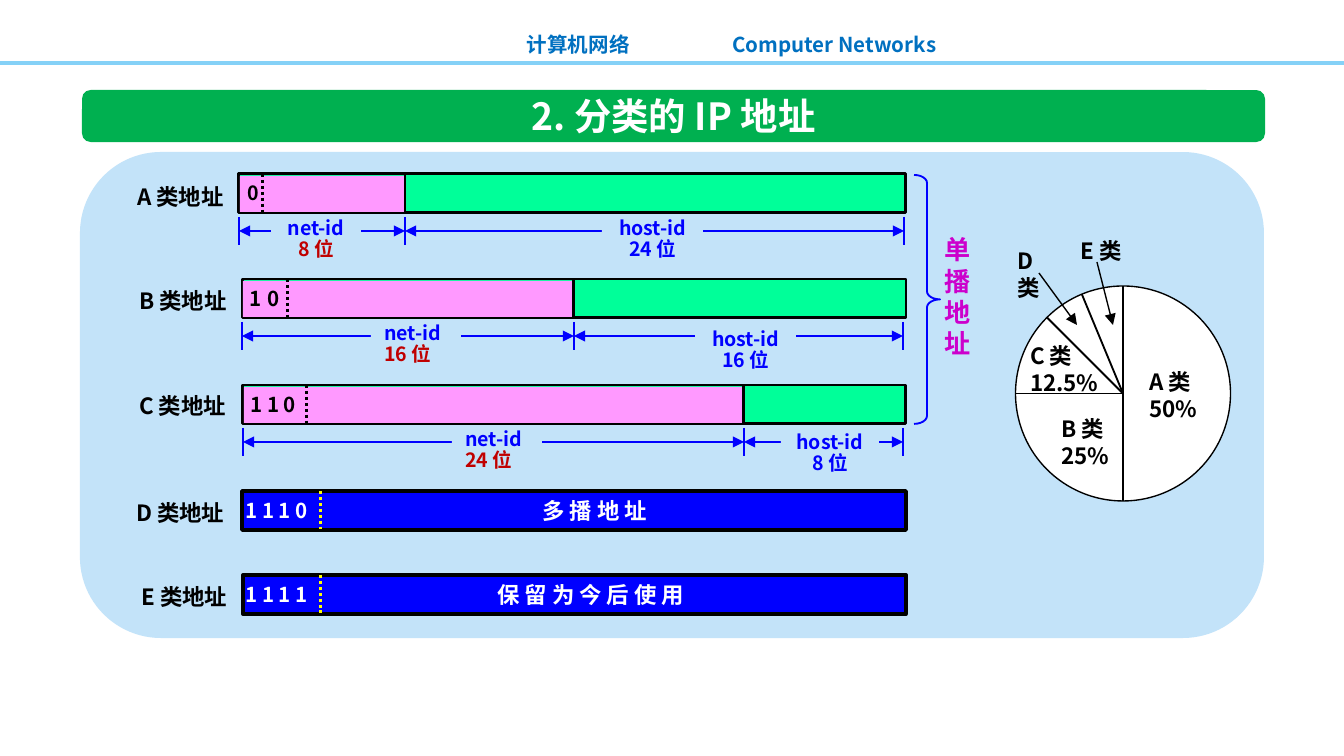
from math import cos, radians, sin

from lxml import etree
from pptx import Presentation
from pptx.dml.color import RGBColor
from pptx.enum.dml import MSO_LINE
from pptx.enum.shapes import MSO_CONNECTOR, MSO_SHAPE
from pptx.enum.text import MSO_ANCHOR, MSO_AUTO_SIZE, PP_ALIGN
from pptx.oxml.ns import qn
from pptx.util import Pt

LEFT, CENTER, RIGHT = PP_ALIGN.LEFT, PP_ALIGN.CENTER, PP_ALIGN.RIGHT
RECT, ROUND = MSO_SHAPE.RECTANGLE, MSO_SHAPE.ROUNDED_RECTANGLE
OVAL, BRACE = MSO_SHAPE.OVAL, MSO_SHAPE.RIGHT_BRACE
STRAIGHT, DOTTED = MSO_CONNECTOR.STRAIGHT, MSO_LINE.ROUND_DOT
TOP, MIDDLE = MSO_ANCHOR.TOP, MSO_ANCHOR.MIDDLE

THEME = dict(
    font="Noto Sans CJK SC",
    black="000000", white="FFFFFF", header="0070C0", rule="85D1F7",
    banner="00B050", panel="C3E3F9", net="FF99FF", host="00FF99",
    blue="0000FF", red="C00000", yellow="FFFF00", magenta="CC00CC",
    title_pt=20, unicast_pt=14, label_pt=12, prefix_pt=11, id_pt=10.5,
    bar_line=1.6, use_line=2, arrow_line=1.5,
)
T = THEME
PX = 914400 / 134.4  # EMU in one px
SLIDE_W, SLIDE_H = 1344, 756

# Content: places and lengths in px
TITLE = "2. 分类的 IP 地址"
HEADERS = [("计算机网络", 497, 146), ("Computer Networks", 712, 238)]
BAR_RIGHT, BAR_H = 906, 39
TICK_GAP, TICK_H, ARROW_GAP = 43, 28, 57

# Split bars: prefix is (text, left, size),
# id fields are (name, bits, colour, alignment, left, top, width)
UNICAST = [
    dict(name="A 类地址", label=(124, 177, 124), bar=(239, 174),
         prefix=[("0", 234, "id_pt")], dots=263, split=405, end=904,
         ids=[("net-id", "8 位", "red", CENTER, 271, 212, 90),
              ("host-id", "24 位", "blue", CENTER, 602, 212, 101)]),
    dict(name="B 类地址", label=(126, 281, 116), bar=(242, 279),
         prefix=[("1", 236, "prefix_pt"), ("0", 254, "prefix_pt")],
         dots=288, split=574, end=903,
         ids=[("net-id", "16 位", "red", LEFT, 371, 317, 90),
              ("host-id", "16 位", "blue", CENTER, 695, 323, 101)]),
    dict(name="C 类地址", label=(126, 386, 116), bar=(243, 385),
         prefix=[("1 1 0", 237, "prefix_pt")], dots=307, split=744, end=903,
         ids=[("net-id", "24 位", "red", LEFT, 452, 423, 90),
              ("host-id", "8 位", "blue", CENTER, 781, 426, 98)]),
]
# Whole bars: use is (text, left, width)
OTHER = [
    dict(name="D 类地址", label=(123, 493, 116), bar=(242, 491),
         prefix="1 1 1 0", use=("多 播 地 址", 529, 150)),
    dict(name="E 类地址", label=(128, 577, 114), bar=(243, 575),
         prefix="1 1 1 1", use=("保 留 为 今 后 使 用", 484, 240)),
]
OTHER_PREFIX_X, OTHER_DOTS = 232, 321

# Shares of the address space: lines of the label, percent, label box
SHARES = [
    (["A 类", "50%"], 50, (1136, 362, 90)),
    (["B 类", "25%"], 25, (1048, 409, 90)),
    (["C 类", "12.5%"], 12.5, (1017, 336, 105)),
    (["D 类"], 6.25, (1004, 241, 68)),
    (["E 类"], 6.25, (1067, 231, 68)),
]
PIE_X, PIE_Y, PIE_R = 1123, 393.5, 107.5
POINTERS = [(1039, 273, 1077, 325), (1097, 262, 1113, 325)]


def emu(*lengths):
    return [round(n * PX) for n in lengths]


def color(name):
    return RGBColor.from_string(T[name])


prs = Presentation()
prs.slide_width, prs.slide_height = emu(SLIDE_W, SLIDE_H)
slide = prs.slides.add_slide(prs.slide_layouts[5])
shapes = slide.shapes


def write(holder, lines, size, inks, align=LEFT, spacing=None, anchor=TOP):
    """Fill a shape with one run per line, coloured by inks."""
    frame = holder.text_frame
    frame.word_wrap, frame.auto_size = True, MSO_AUTO_SIZE.NONE
    frame.vertical_anchor = anchor
    for i, (words, ink) in enumerate(zip(lines, inks)):
        para = frame.add_paragraph() if i else frame.paragraphs[0]
        para.alignment, para.line_spacing = align, spacing
        run = para.add_run()
        run.text = words
        run.font.size, run.font.bold = Pt(T[size]), True
        run.font.color.rgb = color(ink)
        run.font.name = T["font"]
        east_asian = etree.SubElement(run.font._element, qn("a:ea"))
        east_asian.set("typeface", T["font"])


def text(lines, box, size, ink="black", align=LEFT):
    write(shapes.add_textbox(*emu(*box)), lines, size, [ink] * len(lines), align)


def shape(kind, box, fill=None, ink=None, weight=1.0):
    made = shapes.add_shape(kind, *emu(*box))
    made.shadow.inherit = False
    if fill:
        made.fill.solid()
        made.fill.fore_color.rgb = color(fill)
    else:
        made.fill.background()
    if ink:
        made.line.color.rgb = color(ink)
        made.line.width = Pt(weight)
    else:
        made.line.fill.background()
    return made


def line(x1, y1, x2, y2, ink, weight=1.0, dash=None, arrows=()):
    made = shapes.add_connector(STRAIGHT, *emu(x1, y1, x2, y2))
    made.line.color.rgb = color(ink)
    made.line.width = Pt(weight)
    if dash:
        made.line.dash_style = dash
    for end in arrows:
        etree.SubElement(made.line._get_or_add_ln(), qn(end)).set("type", "triangle")
    etree.SubElement(made._element.spPr, qn("a:effectLst"))


# Running header
for words, x, width in HEADERS:
    text([words], (x, 25, width, 39), "prefix_pt", "header", RIGHT)
line(0, 63, SLIDE_W, 63, "rule", 2)

# Title banner, with the title brought in front of it
banner = (82, 90, 1183, 52)
shape(ROUND, banner, "banner")
title = shapes.title
title.left, title.top, title.width, title.height = emu(*banner)
write(title, [TITLE], "title_pt", ["white"], CENTER, anchor=MIDDLE)
shapes._spTree.append(title._element)

shape(ROUND, (80, 152, 1184, 486), "panel")

# Classes A to C: lengths of both parts, then the bar above them
for row in UNICAST:
    left, top = row["bar"]
    split, end, bottom = row["split"], row["end"], top + BAR_H
    for start, stop in ((left, split), (split, end)):
        line(start, top + ARROW_GAP, stop, top + ARROW_GAP, "blue",
             T["arrow_line"], arrows=("a:headEnd", "a:tailEnd"))
    for name, bits, ink, align, x, y, width in row["ids"]:
        field = shape(RECT, (x, y, width, 57), "panel")
        write(field, [name, bits], "id_pt", ["blue", ink], align, 0.9)
    for x in (left, split, end):
        line(x, top + TICK_GAP, x, top + TICK_GAP + TICK_H, "blue")
    shape(RECT, (left, top, BAR_RIGHT - left, BAR_H), "host", "black", T["bar_line"])
    shape(RECT, (left + 1, top + 2, split - left - 1, BAR_H - 3), "net")
    line(split, top, split, bottom, "black", T["bar_line"])
    line(row["dots"], top, row["dots"], bottom, "black", T["bar_line"], DOTTED)
    for bits, x, size in row["prefix"]:
        text([bits], (x, top, 90, 38), size)
    text([row["name"]], (*row["label"], 40), "label_pt")

# Classes D and E: one use for the whole bar
for row in OTHER:
    left, top = row["bar"]
    use, use_x, use_width = row["use"]
    shape(RECT, (left, top, BAR_RIGHT - left, BAR_H), "blue", "black", T["use_line"])
    line(OTHER_DOTS, top, OTHER_DOTS, top + BAR_H, "yellow", T["bar_line"], DOTTED)
    text([row["name"]], (*row["label"], 40), "label_pt")
    text([row["prefix"]], (OTHER_PREFIX_X, top, 110, 38), "prefix_pt", "white")
    text([use], (use_x, top, use_width, 40), "label_pt", "white")

# Share of each class, clockwise from the top
shape(OVAL, (PIE_X - PIE_R, PIE_Y - PIE_R, 2 * PIE_R, 2 * PIE_R),
      "white", "black", 0.75)
turned = 0
for lines, percent, box in SHARES:
    angle = radians(turned * 3.6)
    line(PIE_X, PIE_Y, PIE_X + PIE_R * sin(angle), PIE_Y - PIE_R * cos(angle), "black")
    text(lines, (*box, 67), "label_pt")
    turned += percent
for pointer in POINTERS:
    line(*pointer, "black", 0.75, arrows=("a:tailEnd",))

# Brace over the unicast classes
text(["单播地址"], (927, 227, 62, 140), "unicast_pt", "magenta", CENTER)
brace = shape(BRACE, (914, 175, 26, 249), ink="blue")
brace.adjustments[0] = 0.31

prs.save("out.pptx")
